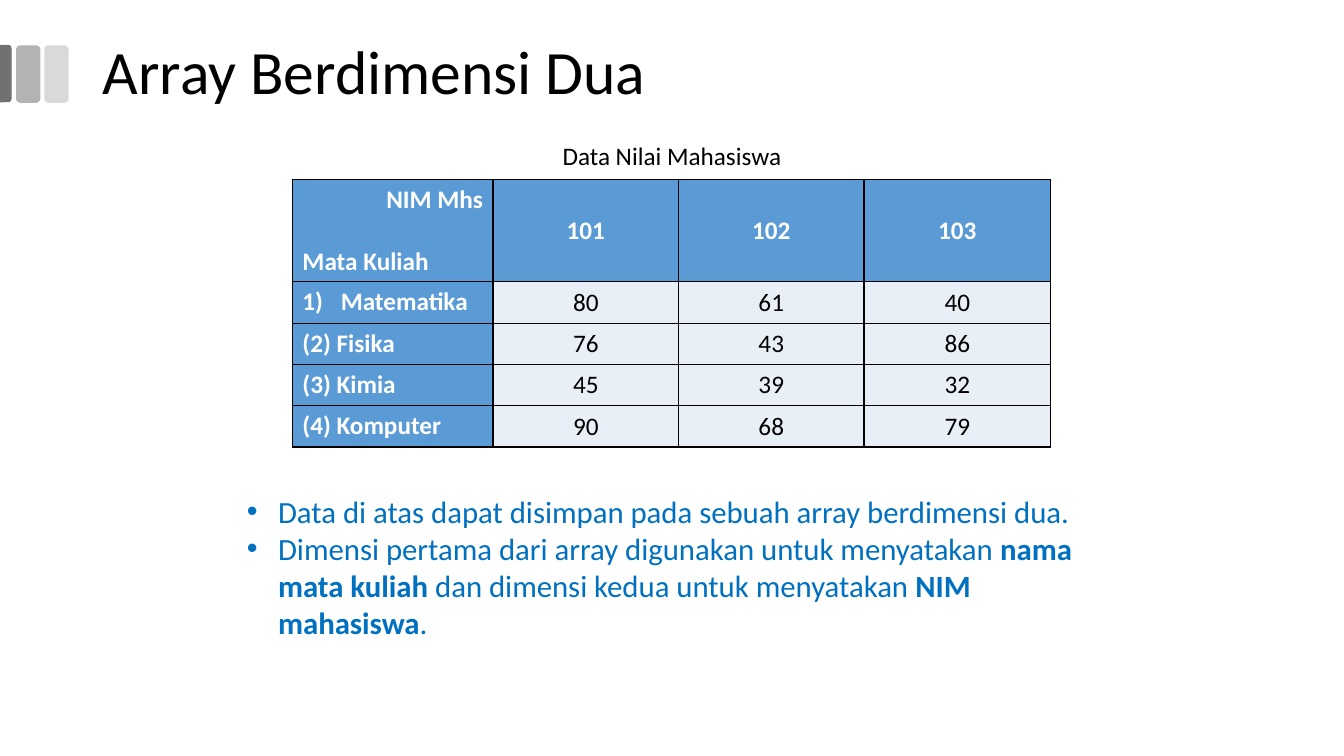
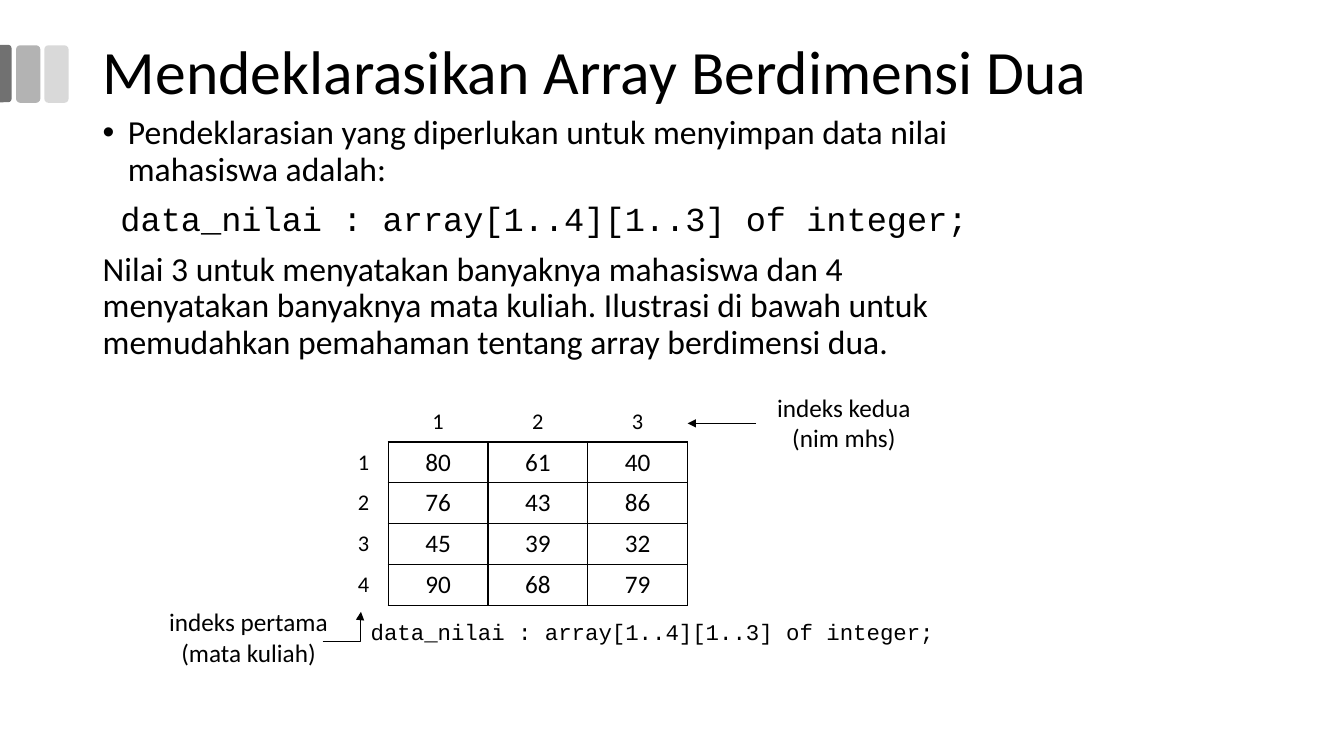
import pptx
import pptx.util
import pptx.dml.color
import pptx.enum.shapes
import pptx.enum.text
import pptx.oxml.ns
import lxml.etree

Inches = pptx.util.Inches
Pt = pptx.util.Pt
RGBColor = pptx.dml.color.RGBColor
PP_ALIGN = pptx.enum.text.PP_ALIGN
ANCHOR = pptx.enum.text.MSO_ANCHOR
SHAPE = pptx.enum.shapes.MSO_SHAPE
CONNECTOR = pptx.enum.shapes.MSO_CONNECTOR
qn = pptx.oxml.ns.qn

BLACK = RGBColor(0x00, 0x00, 0x00)
WHITE = RGBColor(0xFF, 0xFF, 0xFF)
HEADER_BLUE = RGBColor(0x5B, 0x9B, 0xD5)
CELL_BLUE = RGBColor(0xE9, 0xEF, 0xF7)
TEXT_BLUE = RGBColor(0x00, 0x70, 0xC0)
DARK_GREY = RGBColor(0x71, 0x71, 0x71)
MID_GREY = RGBColor(0xB3, 0xB3, 0xB3)
LIGHT_GREY = RGBColor(0xD9, 0xD9, 0xD9)
BODY_FONT = "Calibri"
CODE_FONT = "Courier New"

STUDENTS = ["101", "102", "103"]
COURSES = ["Matematika", "(2) Fisika", "(3) Kimia", "(4) Komputer"]
SCORES = [[80, 61, 40], [76, 43, 86], [45, 39, 32], [90, 68, 79]]
DECLARATION = "data_nilai : array[1..4][1..3] of integer;"


def add_xml(parent, tag, **attributes):
    return lxml.etree.SubElement(parent, qn(tag), **attributes)


def style_paragraph(paragraph, size, color=BLACK, bold=None, font=BODY_FONT, align=PP_ALIGN.LEFT):
    paragraph.alignment = align
    for run in paragraph.runs:
        run.font.name = font
        run.font.size = Pt(size)
        run.font.color.rgb = color
        if bold is not None:
            run.font.bold = bold


def set_bullet(paragraph, indent, numbered=False):
    properties = paragraph._p.get_or_add_pPr()
    properties.set("marL", str(Inches(indent)))
    properties.set("indent", str(-Inches(indent)))
    if numbered:
        add_xml(properties, "a:buFont", typeface="+mj-lt")
        add_xml(properties, "a:buAutoNum", type="arabicParenR")
    else:
        add_xml(properties, "a:buFont", typeface="Arial")
        add_xml(properties, "a:buChar", char="•")


def add_text_box(slide, box, wrap=True):
    frame = slide.shapes.add_textbox(*map(Inches, box)).text_frame
    frame.word_wrap = wrap
    return frame


def add_label(slide, box, text, size=18, font=BODY_FONT):
    frame = add_text_box(slide, box, wrap=False)
    frame.text = text
    for paragraph in frame.paragraphs:
        style_paragraph(paragraph, size, font=font, align=PP_ALIGN.CENTER)


def add_band(slide, kind, box, color, adjustments, rotation=0):
    band = slide.shapes.add_shape(kind, *map(Inches, box))
    for index, value in enumerate(adjustments):
        band.adjustments[index] = value
    band.rotation = rotation
    band.fill.solid()
    band.fill.fore_color.rgb = color
    band.line.fill.background()
    band.shadow.inherit = False


def add_titled_slide(deck, text):
    slide = deck.slides.add_slide(deck.slide_layouts[5])
    for left, color in ((0.44, LIGHT_GREY), (0.16, MID_GREY)):
        add_band(slide, SHAPE.ROUNDED_RECTANGLE, (left, 0.45, 0.24, 0.57), color, [0.167])
    add_band(slide, SHAPE.ROUND_2_SAME_RECTANGLE, (-0.23, 0.67, 0.57, 0.12), DARK_GREY, [0.292, 0], 90)

    title = slide.shapes.title
    title.left, title.top, title.width, title.height = map(Inches, (0.92, 0.01, 11.5, 1.45))
    frame = title.text_frame
    frame.text = text
    frame.auto_size = pptx.enum.text.MSO_AUTO_SIZE.NONE
    frame.vertical_anchor = ANCHOR.MIDDLE
    frame.paragraphs[0].line_spacing = 0.9
    style_paragraph(frame.paragraphs[0], 44)
    return slide


def set_borders(cell, left=BLACK, right=BLACK, top=BLACK, bottom=BLACK):
    properties = cell._tc.get_or_add_tcPr()
    edges = (("a:lnL", left), ("a:lnR", right), ("a:lnT", top), ("a:lnB", bottom))
    for position, (tag, color) in enumerate(edges):
        edge = lxml.etree.Element(qn(tag), w=str(Pt(0.96)))
        add_xml(add_xml(edge, "a:solidFill"), "a:srgbClr", val=str(color))
        properties.insert(position, edge)


def add_grid(slide, left, top, column_widths, row_heights):
    table = slide.shapes.add_table(
        len(row_heights), len(column_widths), Inches(left), Inches(top),
        Inches(sum(column_widths)), Inches(sum(row_heights))).table
    table.first_row = False
    table.horz_banding = False
    for column, width in zip(table.columns, column_widths):
        column.width = Inches(width)
    for row, height in zip(table.rows, row_heights):
        row.height = Inches(height)
    return table


def fill_cell(cell, text, size=18, color=BLACK, bold=False, fill=None,
              align=PP_ALIGN.CENTER, anchor=ANCHOR.MIDDLE):
    cell.text = text
    cell.vertical_anchor = anchor
    if fill is None:
        cell.fill.background()
    else:
        cell.fill.solid()
        cell.fill.fore_color.rgb = fill
    for paragraph in cell.text_frame.paragraphs:
        style_paragraph(paragraph, size, color, bold, align=align)


def add_arrow(slide, kind, start, end, bend=None):
    arrow = slide.shapes.add_connector(kind, *map(Inches, start + end))
    arrow.line.color.rgb = BLACK
    arrow.line.width = Pt(0.75)
    add_xml(arrow.line._get_or_add_ln(), "a:tailEnd", type="triangle")
    properties = arrow._element.spPr
    add_xml(properties, "a:effectLst")
    if bend is not None:
        guides = properties.find(qn("a:prstGeom")).find(qn("a:avLst"))
        add_xml(guides, "a:gd", name="adj1", fmla=f"val {round(bend * 100000)}")


def add_score_table(slide):
    table = add_grid(slide, 2.9, 1.78, [1.99, 1.84, 1.84, 1.85], [1.0] + [0.41] * 4)
    heading = dict(color=WHITE, bold=True, fill=HEADER_BLUE)
    corner = table.cell(0, 0)
    fill_cell(corner, "NIM Mhs\nMata Kuliah", align=PP_ALIGN.LEFT, anchor=ANCHOR.TOP, **heading)
    student_axis, course_axis = corner.text_frame.paragraphs
    student_axis.alignment = PP_ALIGN.RIGHT
    course_axis.space_before = Pt(22)
    for column, student in enumerate(STUDENTS, 1):
        fill_cell(table.cell(0, column), student, **heading)
    for row, (course, scores) in enumerate(zip(COURSES, SCORES), 1):
        fill_cell(table.cell(row, 0), course, align=PP_ALIGN.LEFT, anchor=ANCHOR.TOP, **heading)
        for column, score in enumerate(scores, 1):
            fill_cell(table.cell(row, column), str(score), fill=CELL_BLUE)
    set_bullet(table.cell(1, 0).text_frame.paragraphs[0], 0.38, numbered=True)
    for cell in table.iter_cells():
        set_borders(cell)


def add_index_table(slide):
    table = add_grid(slide, 3.36, 3.98, [0.49] + [0.99] * 3, [0.405] * 5)
    for row in range(5):
        for column in range(4):
            cell = table.cell(row, column)
            if row and column:
                fill_cell(cell, str(SCORES[row - 1][column - 1]))
                set_borders(cell)
            else:
                fill_cell(cell, str(row or column or ""), size=16)
                set_borders(cell, left=WHITE, top=WHITE,
                            right=BLACK if row else WHITE,
                            bottom=BLACK if column else WHITE)


def add_score_notes(slide):
    notes = [
        [("Data di atas dapat disimpan pada sebuah array berdimensi dua.", False)],
        [("Dimensi pertama dari array digunakan untuk menyatakan ", False),
         ("nama mata kuliah ", True),
         ("dan dimensi kedua untuk menyatakan ", False),
         ("NIM mahasiswa", True),
         (".", False)],
    ]
    frame = add_text_box(slide, (2.35, 4.84, 8.62, 1.56))
    for index, note in enumerate(notes):
        paragraph = frame.add_paragraph() if index else frame.paragraphs[0]
        for text, bold in note:
            run = paragraph.add_run()
            run.text = text
            run.font.bold = bold
        style_paragraph(paragraph, 22, TEXT_BLUE)
        set_bullet(paragraph, 0.31)


def add_declaration_text(slide):
    frame = add_text_box(slide, (0.92, 1.1, 8.95, 4.76))
    frame.text = "\n".join([
        "Pendeklarasian yang diperlukan untuk menyimpan data nilai mahasiswa adalah:",
        DECLARATION,
        "Nilai 3 untuk menyatakan banyaknya mahasiswa dan 4 menyatakan banyaknya mata kuliah. "
        "Ilustrasi di bawah untuk memudahkan pemahaman tentang array berdimensi dua.",
    ])
    for paragraph in frame.paragraphs:
        paragraph.line_spacing = 0.9
        paragraph.space_before = Pt(10)
        style_paragraph(paragraph, 24)
    introduction, declaration, _ = frame.paragraphs
    set_bullet(introduction, 0.25)
    style_paragraph(declaration, 24, font=CODE_FONT, align=PP_ALIGN.CENTER)


def build_score_slide(deck):
    slide = add_titled_slide(deck, "Array Berdimensi Dua")
    add_score_table(slide)
    add_label(slide, (5.48, 1.34, 2.37, 0.4), "Data Nilai Mahasiswa")
    add_score_notes(slide)


def build_declaration_slide(deck):
    slide = add_titled_slide(deck, "Mendeklarasikan Array Berdimensi Dua")
    add_declaration_text(slide)
    add_index_table(slide)
    add_arrow(slide, CONNECTOR.ELBOW, (3.2, 6.36), (3.58, 6.07), bend=0.98)
    add_arrow(slide, CONNECTOR.STRAIGHT, (7.5, 4.2), (6.82, 4.2))
    add_label(slide, (1.58, 5.97, 1.77, 0.7), "indeks pertama\n(mata kuliah)")
    add_label(slide, (7.61, 3.84, 1.52, 0.7), "indeks kedua\n(nim mhs)")
    add_label(slide, (3.57, 6.08, 5.8, 0.36), DECLARATION, size=16, font=CODE_FONT)


def main():
    deck = pptx.Presentation()
    deck.slide_width = Inches(13.33)
    deck.slide_height = Inches(7.5)
    build_score_slide(deck)
    build_declaration_slide(deck)
    deck.save("out.pptx")


if __name__ == "__main__":
    main()
